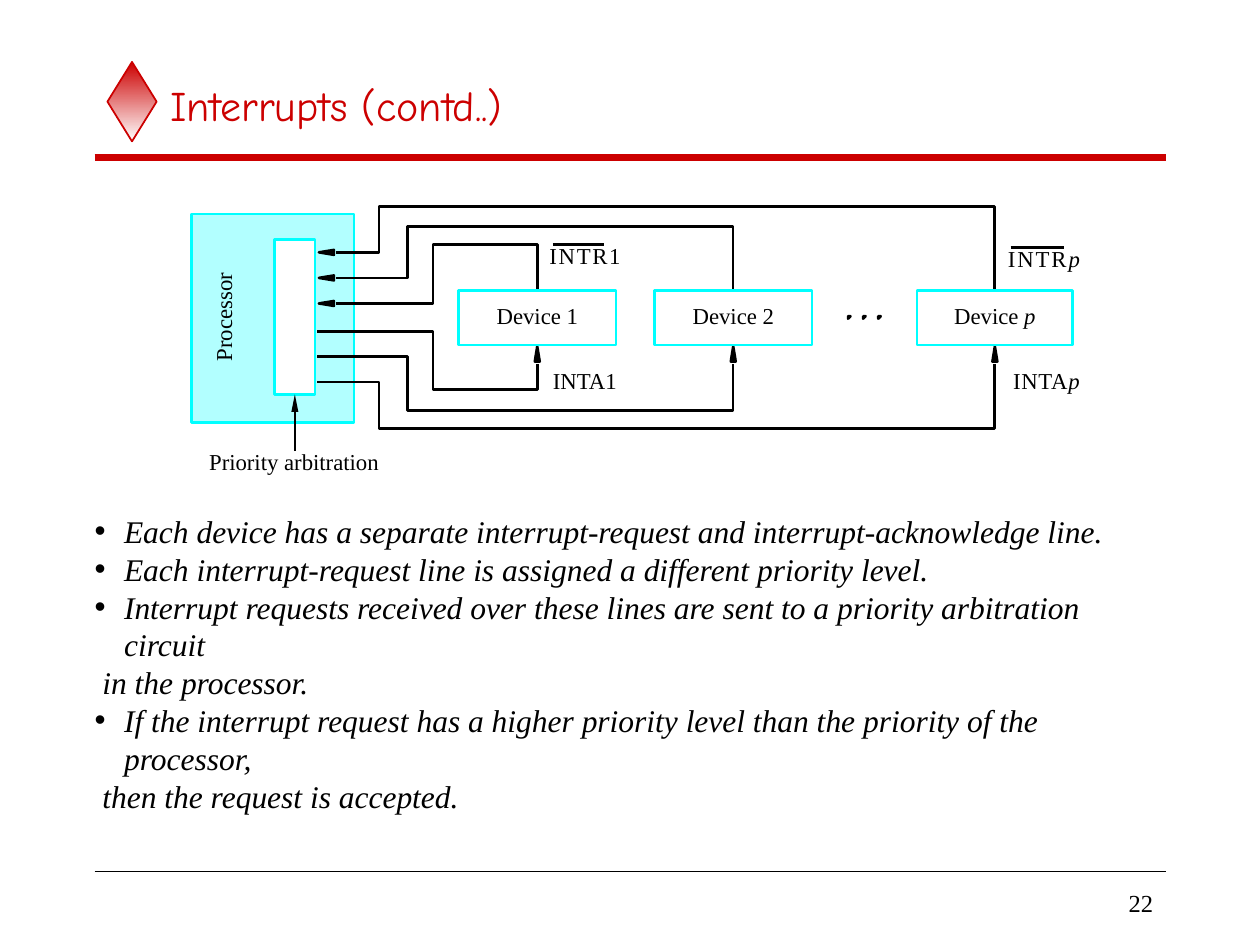
from lxml import etree
from pptx import Presentation
from pptx.dml.color import RGBColor as RGB
from pptx.enum.shapes import MSO_CONNECTOR as CONN, MSO_SHAPE as SHAPE
from pptx.enum.text import MSO_ANCHOR as ANCHOR, MSO_AUTO_SIZE as AUTO, PP_ALIGN as ALIGN
from pptx.oxml.ns import qn
from pptx.util import Pt

C = {"red": "CC0000", "black": "000000", "white": "FFFFFF",
     "cyan": "00FFFF", "pale": "B2FFFF"}
C = {name: RGB.from_string(value) for name, value in C.items()}
SERIF = "Times New Roman"

prs = Presentation()
prs.slide_width, prs.slide_height = Pt(720), Pt(540)
s = prs.slides.add_slide(prs.slide_layouts[1])


def trace(points, closed=False):
    """Draw a black polyline, or a filled polygon when closed."""
    pts = [(Pt(x), Pt(y)) for x, y in points]
    fb = s.shapes.build_freeform(*pts[0], scale=1.0)
    fb.add_line_segments(pts[1:], close=closed)
    sp = fb.convert_to_shape()
    sp.shadow.inherit = False
    if closed:
        sp.fill.solid()
        sp.fill.fore_color.rgb = C["black"]
    else:
        sp.fill.background()
    sp.line.color.rgb = C["black"]
    sp.line.width = Pt(1.5)


def write(p, runs, size=13, spacing=0):
    """Add (text, italic) runs in black serif type."""
    for text, italic in runs:
        r = p.add_run()
        r.text = text
        r.font.name, r.font.size, r.font.italic = SERIF, Pt(size), italic
        r.font.color.rgb = C["black"]
        if spacing:
            r.font._element.set("spc", str(spacing))


# Title with diamond
sp = s.shapes.add_shape(SHAPE.DIAMOND, Pt(61.4), Pt(35.4), Pt(28.1), Pt(45.4))
sp.shadow.inherit = False
sp.fill.gradient()
sp.fill.gradient_angle = 270
for stop, color, position in zip(sp.fill.gradient_stops, ("red", "white"), (0, 1)):
    stop.color.rgb, stop.position = C[color], position
sp.line.color.rgb, sp.line.width = C["red"], Pt(1)

title = s.shapes.title
title.left, title.top, title.width, title.height = Pt(90), Pt(36), Pt(576), Pt(48)
tf = title.text_frame
tf.auto_size, tf.vertical_anchor = AUTO.NONE, ANCHOR.MIDDLE
p = tf.paragraphs[0]
p.alignment = ALIGN.LEFT
r = p.add_run()
r.text = "Interrupts (contd..)"
r.font.name, r.font.size = "Comic Neue", Pt(24)
r.font.color.rgb = C["red"]

# Processor and its arbitration circuit
boxes = []
for x, y, w, h, fill in ((109.4, 122.4, 93, 119, "pale"),
                         (157, 136.8, 23, 88.6, "white")):
    sp = s.shapes.add_shape(SHAPE.RECTANGLE, Pt(x), Pt(y), Pt(w), Pt(h))
    sp.shadow.inherit = False
    sp.fill.solid()
    sp.fill.fore_color.rgb = C[fill]
    sp.line.color.rgb, sp.line.width = C["cyan"], Pt(1.5)
    boxes.append(sp)
arbiter = boxes[1]

# Devices with request and acknowledge wires
devices = (  # left, width, lane x, top y, bottom y, label
    (262, 90, 247.5, 139.7, 222.5, [("Device 1", False)]),
    (374, 90, 233, 129.6, 234.5, [("Device 2", False)]),
    (524, 89, 216.7, 118, 244.8, [("Device ", False), ("p", True)]),
)
for i, (left, w, lane, top, bottom, label) in enumerate(devices):
    x = left + w / 2
    request, acknowledge = 173.4 - 14.6 * i, 189.3 + 14.5 * i
    trace([(192, request), (lane, request), (lane, top), (x, top), (x, 166)])
    trace([(190.8, request - 1.4), (182.2, request), (190.8, request + 1.4)], True)
    trace([(x, 208), (x, bottom), (lane, bottom), (lane, acknowledge),
           (181, acknowledge)])
    trace([(x - 1.4, 206.6), (x, 198), (x + 1.4, 206.6)], True)

    sp = s.shapes.add_shape(SHAPE.RECTANGLE, Pt(left), Pt(166.2), Pt(w), Pt(31))
    sp.shadow.inherit = False
    sp.fill.background()
    sp.line.color.rgb, sp.line.width = C["cyan"], Pt(1.5)
    tf = sp.text_frame
    tf.margin_top, tf.margin_bottom = 0, Pt(3)
    tf.vertical_anchor = ANCHOR.MIDDLE
    tf.paragraphs[0].alignment = ALIGN.CENTER
    write(tf.paragraphs[0], label)

# Ellipsis between devices
for i in range(3):
    x = 484.6 + 8.64 * i
    trace([(x, 180.7), (x, 182.1), (x + 1.4, 180.7)], True)

# Diagram labels
labels = (  # left, top, width, rotation, letter spacing, runs
    (119.5, 256, 110, 0, 0, [("Priority arbitration", False)]),
    (97.5, 168.5, 60, 270, 0, [("Processor", False)]),
    (314, 138.2, 50, 0, 100, [("INTR1", False)]),
    (576, 139.8, 50, 0, 110, [("INTR", False), ("p", True)]),
    (316, 209.5, 50, 0, 0, [("INTA1", False)]),
    (579, 209.5, 50, 0, 40, [("INTA", False), ("p", True)]),
)
for x, y, w, rotation, spacing, runs in labels:
    sp = s.shapes.add_textbox(Pt(x), Pt(y), Pt(w), Pt(15.8))
    sp.rotation = rotation
    tf = sp.text_frame
    tf.word_wrap = True
    tf.margin_left = tf.margin_right = tf.margin_top = tf.margin_bottom = 0
    write(tf.paragraphs[0], runs, spacing=spacing)

# Rules, overlines and the arbitration arrow
lines = (  # x1, y1, x2, y2, color, width
    (54, 90, 666, 90, "red", 4),
    (54, 498, 666, 498, "black", 1),
    (316, 139.8, 345, 139.8, "black", 1.5),
    (577.5, 141.4, 608, 141.4, "black", 1.5),
    (168.5, 257.8, 168.5, 225.4, "black", 1.5),
)
for x1, y1, x2, y2, color, width in lines:
    line = s.shapes.add_connector(CONN.STRAIGHT, Pt(x1), Pt(y1), Pt(x2), Pt(y2))
    line.line.color.rgb, line.line.width = C[color], Pt(width)
    etree.SubElement(line._element.spPr, qn("a:effectLst"))
line.end_connect(arbiter, 2)
etree.SubElement(line.line._get_or_add_ln(), qn("a:tailEnd"),
                 type="triangle", w="sm", len="lg")

# Notes on the scheme
bullets = (  # text, has bullet
    ("Each device has a separate interrupt-request and interrupt-acknowledge line.", True),
    ("Each interrupt-request line is assigned a different priority level.", True),
    ("Interrupt requests received over these lines are sent to a priority "
     "arbitration circuit", True),
    ("in the processor.", False),
    ("If the interrupt request has a higher priority level than the priority "
     "of the processor,", True),
    ("then the request is accepted.", False),
)
body = s.placeholders[1]
body.left, body.top, body.width, body.height = Pt(46.8), Pt(289), Pt(620), Pt(182)
tf = body.text_frame
tf.auto_size, tf.word_wrap = AUTO.NONE, True
for i, (text, bulleted) in enumerate(bullets):
    p = tf.add_paragraph() if i else tf.paragraphs[0]
    pPr = p._p.get_or_add_pPr()
    pPr.set("marL", str(Pt(16.9 if bulleted else 4.5)))
    pPr.set("indent", str(Pt(-16.9 if bulleted else 0)))
    if bulleted:
        etree.SubElement(pPr, qn("a:buChar"), char="•")
    else:
        etree.SubElement(pPr, qn("a:buNone"))
    p.space_before, p.line_spacing = Pt(0), Pt(21.6)
    write(p, [(text, True)], 18)

# Page number
sp = s.shapes.add_textbox(Pt(563.8), Pt(504), Pt(102.2), Pt(24))
tf = sp.text_frame
tf.word_wrap, tf.vertical_anchor = True, ANCHOR.MIDDLE
tf.paragraphs[0].alignment = ALIGN.RIGHT
write(tf.paragraphs[0], [("22", False)], 14)

prs.save("out.pptx")
